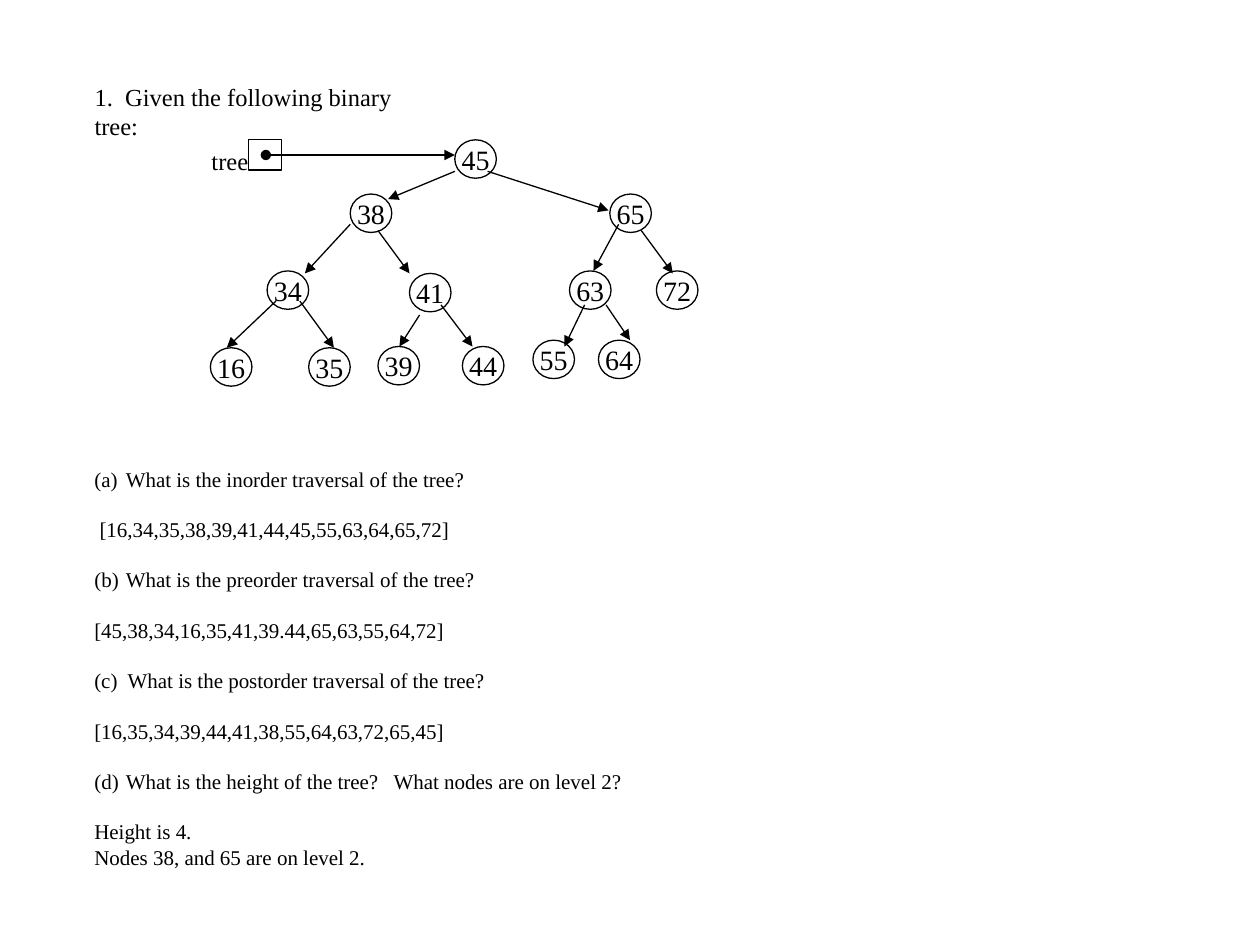
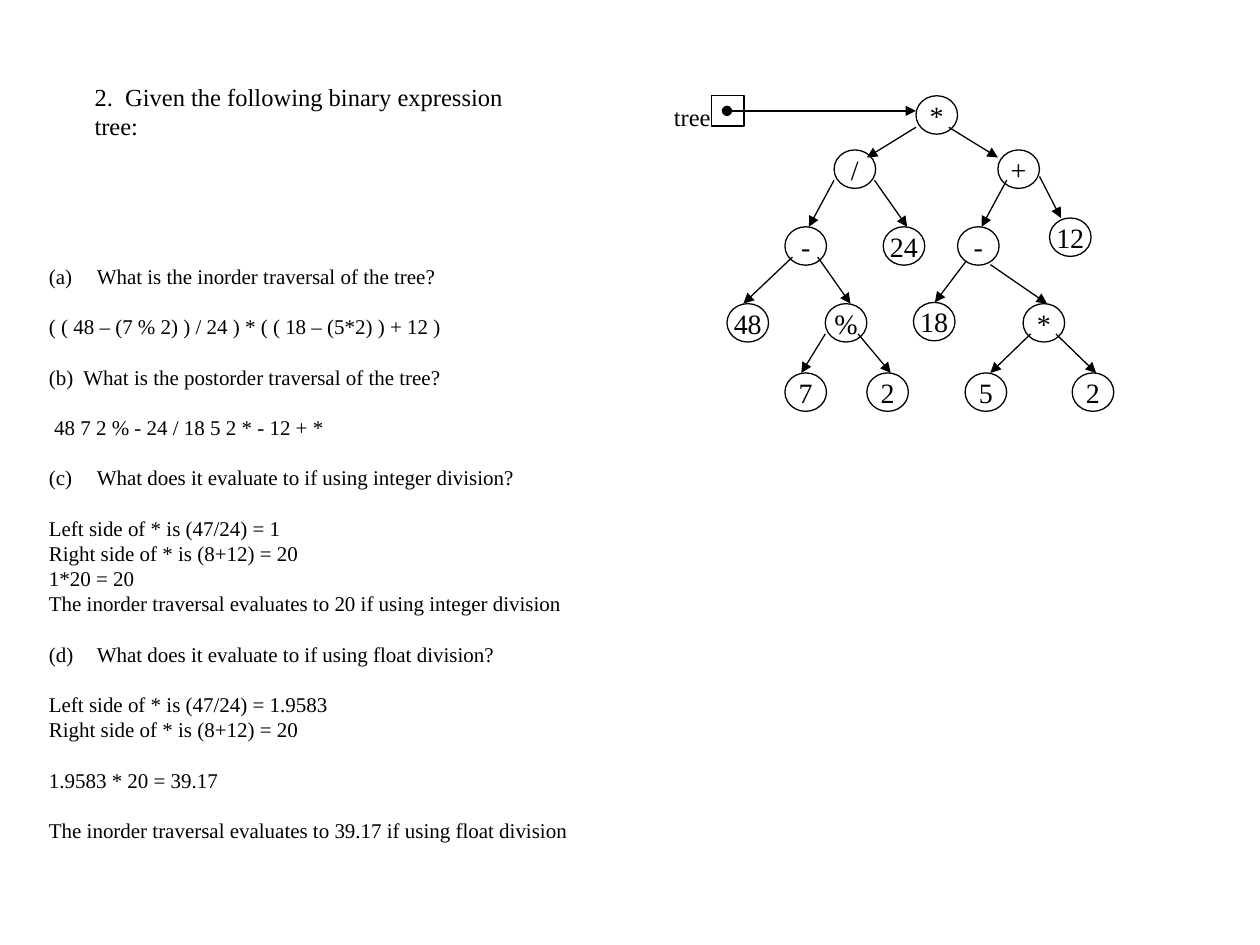
from pptx import Presentation
from pptx.dml.color import RGBColor
from pptx.enum.shapes import MSO_CONNECTOR, MSO_SHAPE
from pptx.enum.text import MSO_ANCHOR, PP_ALIGN
from pptx.oxml.ns import qn
from pptx.util import Inches, Pt
from lxml import etree

BLACK = RGBColor(0, 0, 0)
FONT = "Times New Roman"
HEADING_SIZE, BODY_SIZE, NODE_SIZE = 14, 12, 16
BLANK_LINE = 14.4  # points left between question and answer
STRAIGHT = MSO_CONNECTOR.STRAIGHT
OVAL, RECTANGLE = MSO_SHAPE.OVAL, MSO_SHAPE.RECTANGLE
TOP, MIDDLE = MSO_ANCHOR.TOP, MSO_ANCHOR.MIDDLE
LEFT, CENTER = PP_ALIGN.LEFT, PP_ALIGN.CENTER
TITLE_ONLY = 5
STEP = 0.1  # tree grid: one column or row, in inches
NODE_WIDTH, NODE_HEIGHT = 3.3, 3.05

# Nodes: label, column, row, arrow start, arrow end (the root comes first)
SEARCH_TREE = [
    ("45", 20.3, 0, (5.3, 1.2), (20.3, 1.2)),
    ("38", 12, 4.3, (20.3, 2.5), (15, 4.7)),
    ("65", 32.6, 4.3, (22.9, 2.5), (32.5, 5.6)),
    ("34", 5.4, 10.4, (12, 6.7), (8.4, 10.6)),
    ("41", 16.7, 10.6, (14.2, 7.2), (16.7, 10.6)),
    ("63", 29.4, 10.4, (33.3, 6.7), (31.3, 10.4)),
    ("72", 36.3, 10.4, (35.1, 7.2), (37.6, 10.6)),
    ("16", 0.9, 16.5, (6.1, 12.8), (2.2, 16.5)),
    ("35", 8.7, 16.5, (8, 12.8), (10.7, 16.5)),
    ("39", 14.2, 16.4, (17.5, 13.9), (15.9, 16.4)),
    ("44", 20.9, 16.4, (19.2, 13.1), (21.7, 16.4)),
    ("55", 26.5, 15.9, (30.6, 13.1), (29, 16.4)),
    ("64", 31.7, 15.9, (32.3, 13.1), (34.2, 15.9)),
]
EXPRESSION_TREE = [
    ("*", 20.2, 0, (5.2, 1.2), (20.2, 1.2)),
    ("/", 13.7, 4.3, (20.2, 2.5), (16.3, 4.9)),
    ("+", 26.7, 4.3, (22.8, 2.5), (26.7, 4.9)),
    ("-", 9.8, 10.4, (13.7, 6.7), (11.7, 10.4)),
    ("24", 17.6, 10.4, (16.9, 6.7), (19.5, 10.4)),
    ("-", 23.5, 10.4, (27.4, 6.7), (25.4, 10.4)),
    ("12", 30.8, 9.7, (30, 6.4), (31.7, 9.7)),
    ("48", 5.2, 16.5, (10.4, 12.8), (6.5, 16.5)),
    ("%", 13, 16.5, (12.4, 12.8), (15, 16.5)),
    ("18", 20, 16.4, (24.2, 13.1), (21.7, 16.4)),
    ("*", 28.7, 16.5, (26.1, 13.4), (30.6, 16.5)),
    ("7", 9.8, 22, (13, 18.9), (11.1, 22)),
    ("2", 16.3, 22, (15.6, 18.9), (18.2, 22)),
    ("5", 24.1, 22, (29.3, 18.9), (26.1, 22)),
    ("2", 32.6, 22, (31.3, 18.9), (34.5, 22)),
]

# Blocks of lines with a gap between blocks; a number makes a lettered question
TRAVERSAL_QUESTIONS = [
    (1, ["What is the inorder traversal of the tree?"]),
    (None, [" [16,34,35,38,39,41,44,45,55,63,64,65,72]"]),
    (2, ["What is the preorder traversal of the tree?"]),
    (None, ["[45,38,34,16,35,41,39.44,65,63,55,64,72]"]),
    (None, ["(c)  What is the postorder traversal of the tree?"]),
    (None, ["[16,35,34,39,44,41,38,55,64,63,72,65,45]"]),
    (4, ["What is the height of the tree?   What nodes are on level 2?"]),
    (None, ["Height is 4.", "Nodes 38, and 65 are on level 2."]),
]
EVALUATION_QUESTIONS = [
    (1, ["What is the inorder traversal of the tree?"]),
    (None, ["( ( 48 – (7 % 2) ) / 24 ) * ( ( 18 – (5*2) ) + 12 )"]),
    (None, ["(b)  What is the postorder traversal of the tree?"]),
    (None, [" 48 7 2 % - 24 / 18 5 2 * - 12 + *"]),
    (3, ["What does it evaluate to if using integer division?"]),
    (None, ["Left side of * is (47/24) = 1",
            "Right side of * is (8+12) = 20",
            "1*20 = 20",
            "The inorder traversal evaluates to 20 if using integer division"]),
    (4, ["What does it evaluate to if using float division?"]),
    (None, ["Left side of * is (47/24) = 1.9583",
            "Right side of * is (8+12) = 20"]),
    (None, ["1.9583 * 20 = 39.17"]),
    (None, ["The inorder traversal evaluates to 39.17 if using float division"]),
]


def add_span(para, text, size, align=LEFT):
    para.alignment = align
    span = para.add_run()
    span.text = text
    span.font.name, span.font.size = FONT, Pt(size)
    span.font.color.rgb = BLACK


def add_heading(page, text, width):
    title = page.shapes.title
    title.left, title.top = Inches(0.65), Inches(0.6)
    title.width, title.height = Inches(width), Inches(0.33)
    frame = title.text_frame
    frame.word_wrap, frame.vertical_anchor = True, TOP
    para = frame.paragraphs[0]
    para.line_spacing = 1.0
    add_span(para, text, HEADING_SIZE)


def number_question(para, number, indent):
    """Give the paragraph a hanging (a), (b), ... number."""
    props = para._p.get_or_add_pPr()
    props.set("marL", str(Inches(indent)))
    props.set("indent", str(-Inches(indent)))
    etree.SubElement(props, qn("a:buFont"), typeface="+mj-lt")
    etree.SubElement(props, qn("a:buAutoNum"), type="alphaLcParenBoth",
                     startAt=str(number))


def add_questions(page, box, blocks, indent):
    frame = page.shapes.add_textbox(*map(Inches, box)).text_frame
    frame.word_wrap = True
    para = frame.paragraphs[0]
    for position, (number, lines) in enumerate(blocks):
        for row, line in enumerate(lines):
            if position or row:
                para = frame.add_paragraph()
            if position and row == 0:
                para.space_before = Pt(BLANK_LINE)
            add_span(para, line, BODY_SIZE)
            if number:
                number_question(para, number, indent)


def add_outline(page, kind, place):
    shape = page.shapes.add_shape(kind, *place)
    shape.shadow.inherit = False
    shape.fill.background()
    shape.line.color.rgb, shape.line.width = BLACK, Pt(0.75)
    return shape


def add_arrow(page, start, end, from_dot):
    arrow = page.shapes.add_connector(STRAIGHT, *start, *end)
    arrow.line.color.rgb, arrow.line.width = BLACK, Pt(0.75)
    line = arrow.line._get_or_add_ln()
    if from_dot:
        etree.SubElement(line, qn("a:headEnd"), type="oval")
    etree.SubElement(line, qn("a:tailEnd"), type="triangle")
    etree.SubElement(arrow._element.spPr, qn("a:effectLst"))


def add_tree(page, left, top, nodes):
    def at(column, row):
        return Inches(left + column * STEP), Inches(top + row * STEP)

    def size(columns, rows):
        return Inches(columns * STEP), Inches(rows * STEP)

    # Pointer box and its label
    add_outline(page, RECTANGLE, at(3.95, 0) + size(2.6, 2.4))
    label = page.shapes.add_textbox(*at(0, 0), *size(4.9, 3.3)).text_frame
    label.word_wrap = False
    add_span(label.paragraphs[0], "tree", HEADING_SIZE)

    # Nodes, each with the arrow that leads to it
    for index, (value, column, row, start, end) in enumerate(nodes):
        node = add_outline(page, OVAL,
                           at(column, row) + size(NODE_WIDTH, NODE_HEIGHT))
        frame = node.text_frame
        frame.word_wrap, frame.vertical_anchor = False, MIDDLE
        add_span(frame.paragraphs[0], value, NODE_SIZE, CENTER)
        add_arrow(page, at(*start), at(*end), from_dot=index == 0)


def main():
    deck = Presentation()
    deck.slide_width, deck.slide_height = Inches(10), Inches(7.5)
    layout = deck.slide_layouts[TITLE_ONLY]

    # Binary tree: traversals, height and levels
    page = deck.slides.add_slide(layout)
    add_heading(page, "1.  Given the following binary tree:", 2.9)
    add_questions(page, (0.65, 3.65, 4.45, 3.33), TRAVERSAL_QUESTIONS, 0.25)
    add_tree(page, 1.58, 1.11, SEARCH_TREE)

    # Expression tree: traversals and evaluation
    page = deck.slides.add_slide(layout)
    add_heading(page, "2.  Given the following binary expression tree:", 3.78)
    add_questions(page, (0.29, 2.04, 5.47, 5.35), EVALUATION_QUESTIONS, 0.38)
    add_tree(page, 5.25, 0.76, EXPRESSION_TREE)

    deck.save("out.pptx")


if __name__ == "__main__":
    main()
